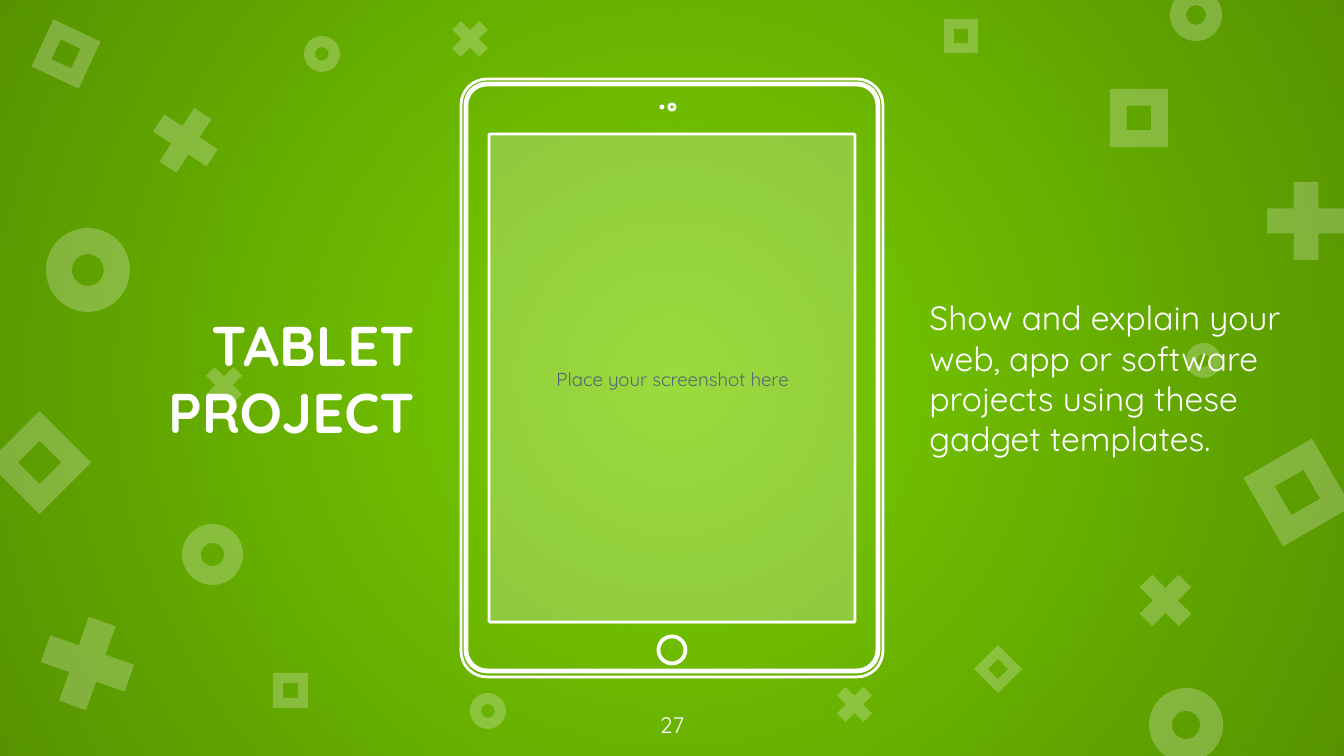
"""Build the tablet project slide: a device outline on a patterned green ground."""
import math
from dataclasses import dataclass

import pptx
import pptx.dml.color
import pptx.enum.shapes
import pptx.enum.text
import pptx.oxml
import pptx.oxml.ns
import pptx.util

MARK = pptx.enum.shapes.MSO_SHAPE
ALIGN = pptx.enum.text.PP_ALIGN
ANCHOR = pptx.enum.text.MSO_ANCHOR
EMU_PER_PX = 9144000 / 1344
WIDTH, HEIGHT = 1344, 756


@dataclass(frozen=True)
class Theme:
    ground: str = "7BD100"
    ink: str = "FFFFFF"
    shade: str = "000000"
    hint: str = "546973"
    veil: int = 24
    vignette: int = 30
    font: str = "Quicksand"
    title: int = 30
    body: int = 18
    number: int = 12
    note: int = 10
    outline: float = 1.5


def px(length):
    return pptx.util.Emu(round(length * EMU_PER_PX))


def rgb(colour):
    return pptx.dml.color.RGBColor.from_string(colour)


def rounded_outline(left, top, right, bottom, radius, steps=8):
    corners = [(right - radius, bottom - radius), (left + radius, bottom - radius),
               (left + radius, top + radius), (right - radius, top + radius)]
    points = []
    for quarter, (x, y) in enumerate(corners):
        for step in range(steps + 1):
            angle = math.pi / 2 * (quarter + step / steps)
            points.append((px(x + radius * math.cos(angle)), px(y + radius * math.sin(angle))))
    return points


def circle_outline(x, y, radius):
    return rounded_outline(x - radius, y - radius, x + radius, y + radius, radius)


class Painter:
    def __init__(self, slide, theme):
        self.slide, self.theme = slide, theme
        slide.background.fill.solid()
        slide.background.fill.fore_color.rgb = rgb(theme.ground)

    def place(self, shape, box):
        for name, length in zip(("left", "top", "width", "height"), box):
            setattr(shape, name, px(length))

    def letter(self, shape, words, size, colour, align, anchor, bold=False, before=0):
        frame = shape.text_frame
        margins = dict.fromkeys(("margin_left", "margin_top", "margin_right", "margin_bottom"),
                                pptx.util.Inches(0.1))
        frame_format = {"word_wrap": True, "vertical_anchor": anchor,
                        "auto_size": pptx.enum.text.MSO_AUTO_SIZE.NONE, **margins}
        for name, value in frame_format.items():
            setattr(frame, name, value)
        paragraph = frame.paragraphs[0]
        paragraph.alignment = align
        paragraph.space_before = pptx.util.Pt(before)
        run = paragraph.add_run()
        run.text = words
        run.font.color.rgb = rgb(colour)
        font_format = {"name": self.theme.font, "size": pptx.util.Pt(size), "bold": bold}
        for name, value in font_format.items():
            setattr(run.font, name, value)
        return paragraph

    def veiled(self, kind, box, rotation=0, adjustment=None):
        shape = self.slide.shapes.add_shape(kind, *map(px, box))
        shape.shadow.inherit = False
        shape.rotation = rotation
        if adjustment is not None:
            shape.adjustments[0] = adjustment
        shape.fill.solid()
        shape.fill.fore_color.rgb = rgb(self.theme.ink)
        colour = shape.element.spPr.find(".//" + pptx.oxml.ns.qn("a:srgbClr"))
        alpha = colour.makeelement(pptx.oxml.ns.qn("a:alpha"), {"val": str(self.theme.veil * 1000)})
        colour.append(alpha)
        shape.line.fill.background()
        return shape

    def vignette(self):
        shape = self.slide.shapes.add_shape(MARK.RECTANGLE, 0, 0, px(WIDTH), px(HEIGHT))
        shape.shadow.inherit = False
        shape.line.fill.background()
        stops = "".join(
            f'<a:gs pos="{position}"><a:srgbClr val="{self.theme.shade}">'
            f'<a:alpha val="{alpha * 1000}"/></a:srgbClr></a:gs>'
            for position, alpha in ((0, 0), (100000, self.theme.vignette)))
        gradient = pptx.oxml.parse_xml(
            f'<a:gradFill {pptx.oxml.ns.nsdecls("a")}><a:gsLst>{stops}</a:gsLst>'
            '<a:path path="circle"><a:fillToRect l="50000" t="50000" r="50000" b="50000"/>'
            '</a:path></a:gradFill>')
        shape.element.spPr.insert(2, gradient)

    def outline(self, contours):
        first, *others = contours
        builder = self.slide.shapes.build_freeform(*first[0], scale=1.0)
        builder.add_line_segments(first[1:], close=True)
        for contour in others:
            builder.move_to(*contour[0])
            builder.add_line_segments(contour[1:], close=True)
        shape = builder.convert_to_shape()
        shape.shadow.inherit = False
        shape.fill.background()
        shape.line.color.rgb = rgb(self.theme.ink)
        shape.line.width = pptx.util.Pt(self.theme.outline)

    def placeholder(self, index, box, words, size, align, bold=False):
        holder = self.slide.placeholders[index]
        self.place(holder, box)
        paragraph = self.letter(holder, words, size, self.theme.ink, align, ANCHOR.MIDDLE, bold, 6)
        properties = paragraph._p.get_or_add_pPr()
        for name in ("marL", "indent"):
            properties.set(name, "0")
        properties.append(properties.makeelement(pptx.oxml.ns.qn("a:buNone"), {}))
        holder.element.getparent().append(holder.element)

    def label(self, box, words, size):
        text = self.slide.shapes.add_textbox(*map(px, box))
        self.letter(text, words, size, self.theme.ink, ALIGN.CENTER, ANCHOR.TOP)


CONFETTI = {
    (MARK.DONUT, 0.31): [
        (1149, 688, 74, 0), (46, 228, 84, 0), (182, 524, 61, 0), (1170, -11, 52, 0),
        (304, 36, 36, 0), (1186, 343, 35, 0), (470, 693, 36, 0)],
    (MARK.FRAME, 0.29): [
        (3, 426, 73, 45), (1258, 453, 79, 330), (1110, 89, 58, 0), (40, 28, 52, 25),
        (273, 673, 35, 0), (981, 652, 34, 315), (944, 19, 34, 0)],
    (MARK.MATH_MULTIPLY, 0.235): [
        (1253, 168, 106, 45), (27, 603, 121, 334.5), (142, 97, 87, 348), (1128, 563, 75, 0),
        (444, 13, 52, 0), (198, 359, 52, 0), (829, 679, 51, 0)],
}

TABLET = [
    rounded_outline(461, 79, 883, 677, 26),
    rounded_outline(465, 83, 879, 672, 22),
    rounded_outline(467, 85, 877, 670, 20),
    rounded_outline(489, 134, 855, 622, 1, steps=1),
    circle_outline(672, 650, 14),
    circle_outline(672, 650, 13),
    circle_outline(672, 107, 3),
    circle_outline(662, 107, 1),
]


def main():
    deck = pptx.Presentation()
    deck.slide_width, deck.slide_height = px(WIDTH), px(HEIGHT)
    theme = Theme()
    painter = Painter(deck.slides.add_slide(deck.slide_layouts[1]), theme)

    painter.vignette()
    for (kind, adjustment), marks in CONFETTI.items():
        for left, top, side, rotation in marks:
            painter.veiled(kind, (left, top, side, side), rotation, adjustment)

    painter.outline(TABLET)
    screen = painter.veiled(MARK.RECTANGLE, (489, 134, 367, 490))
    painter.letter(screen, "Place your screenshot here", theme.note, theme.hint,
                   ALIGN.CENTER, ANCHOR.MIDDLE)

    painter.placeholder(0, (46, 32, 382, 692), "TABLET PROJECT", theme.title, ALIGN.RIGHT, True)
    painter.placeholder(
        1, (916, 32, 382, 692),
        "Show and explain your web, app or software projects using these gadget templates.",
        theme.body, ALIGN.LEFT)
    painter.label((632, 698, 80, 58), "27", theme.number)
    deck.save("out.pptx")


if __name__ == "__main__":
    main()
